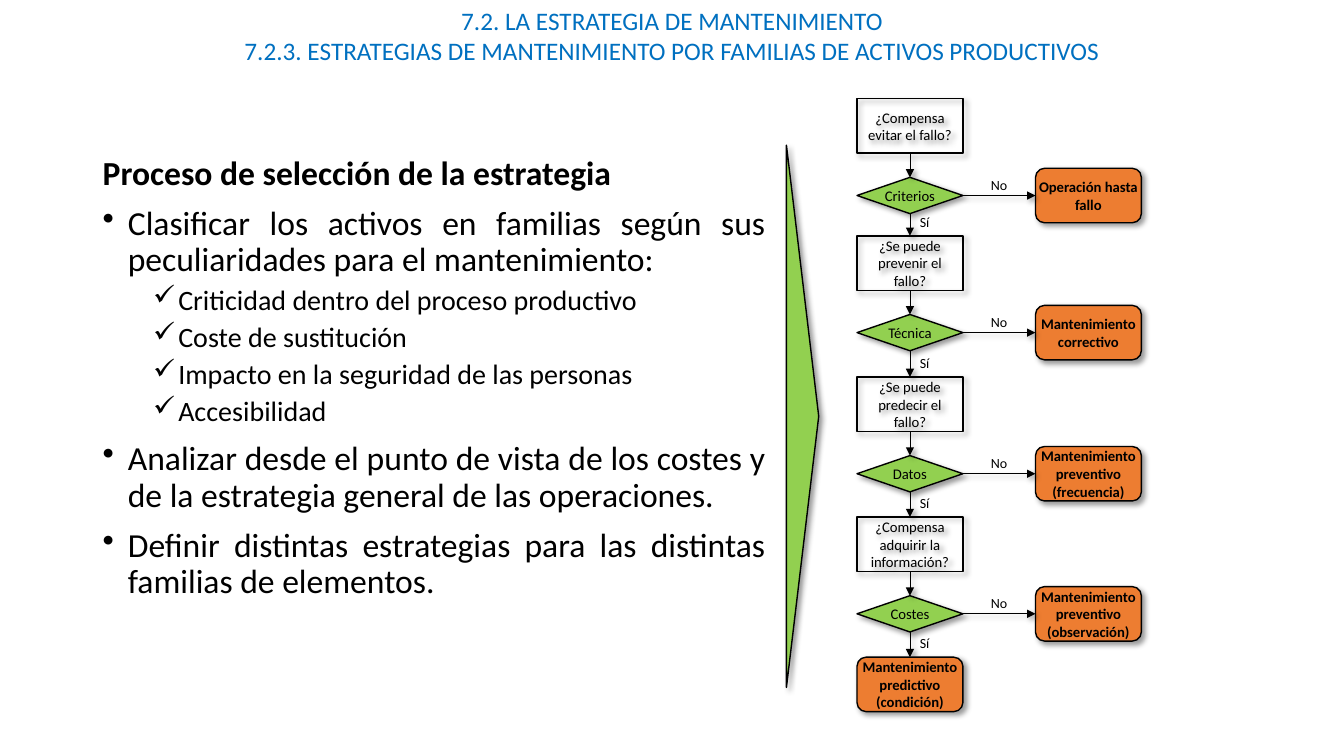
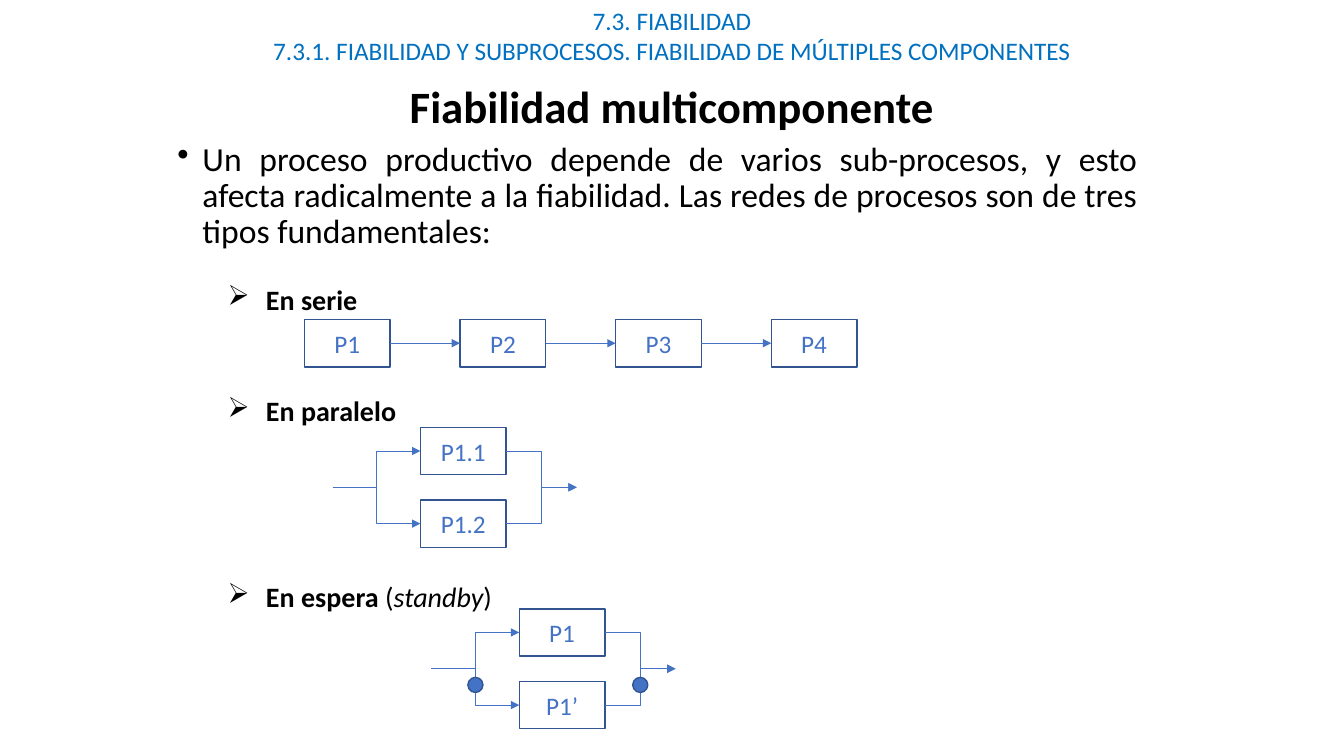
"""Build two slides on maintenance strategy and multi-component reliability."""
from collections import namedtuple

from lxml.etree import SubElement
from pptx import Presentation
from pptx.dml.color import RGBColor
from pptx.enum.shapes import MSO_CONNECTOR as LINK, MSO_SHAPE as SHAPE
from pptx.enum.text import MSO_ANCHOR as ANCHOR, MSO_AUTO_SIZE as FIT, PP_ALIGN as ALIGN
from pptx.oxml.ns import qn
from pptx.util import Inches, Pt

BLACK = RGBColor(0x00, 0x00, 0x00)
TITLE_BLUE = RGBColor(0x00, 0x70, 0xC0)
GREEN = RGBColor(0x92, 0xD0, 0x50)
ORANGE = RGBColor(0xED, 0x7D, 0x31)
BLUE = RGBColor(0x44, 0x72, 0xC4)
EDGE_BLUE = RGBColor(0x32, 0x54, 0x91)
FONT = "Calibri"
WIDTH, HEIGHT = 13.33, 7.5

Style = namedtuple("Style", "size bullet margin hang before align level", defaults=(0,))
LEAD = Style(24, None, 0, 0, 10, ALIGN.JUSTIFY)
POINT = Style(24, "•", 0.25, 0.25, 10, ALIGN.JUSTIFY)
CHECK = Style(20, "✓", 0.75, 0.25, 5, ALIGN.JUSTIFY, 1)
KIND = Style(20, "➢", 0.88, 0.38, 25, ALIGN.LEFT, 1)
HEADING = Style(32, None, 0, 0, 0, ALIGN.CENTER)

STRATEGY_TITLE = (
    "7.2. LA ESTRATEGIA DE MANTENIMIENTO",
    "7.2.3. ESTRATEGIAS DE MANTENIMIENTO POR FAMILIAS DE ACTIVOS PRODUCTIVOS",
)
STRATEGY_TEXT = [
    (LEAD, [("Proceso de selección de la estrategia", "b")]),
    (POINT, [("Clasificar los activos en familias según sus peculiaridades para el mantenimiento:", "")]),
    (CHECK, [("Criticidad dentro del proceso productivo", "")]),
    (CHECK, [("Coste de sustitución", "")]),
    (CHECK, [("Impacto en la seguridad de las personas", "")]),
    (CHECK, [("Accesibilidad", "")]),
    (POINT, [("Analizar desde el punto de vista de los costes y de la estrategia general de las operaciones.", "")]),
    (POINT, [("Definir distintas estrategias para las distintas familias de elementos.", "")]),
]
DECISIONS = [
    ("¿Compensa evitar el fallo?", "Criterios", "Operación hasta fallo"),
    ("¿Se puede prevenir el fallo?", "Técnica", "Mantenimiento correctivo"),
    ("¿Se puede predecir el fallo?", "Datos", "Mantenimiento preventivo (frecuencia)"),
    ("¿Compensa adquirir la información?", "Costes", "Mantenimiento preventivo (observación)"),
]
FINAL_OUTCOME = "Mantenimiento predictivo (condición)"
ROW_TOPS = [0.98, 2.34, 3.74, 5.13, 6.52]
FLOW_LEFT, OUTCOME_LEFT = 8.5, 10.27
STEP_WIDTH, STEP_HEIGHT, DIAMOND_HEIGHT, DIAMOND_DROP = 1.05, 0.54, 0.36, 0.78

RELIABILITY_TITLE = (
    "7.3. FIABILIDAD",
    "7.3.1. FIABILIDAD Y SUBPROCESOS. FIABILIDAD DE MÚLTIPLES COMPONENTES",
)
RELIABILITY_HEADING = [(HEADING, [("Fiabilidad multicomponente", "b")])]
RELIABILITY_TEXT = [
    (POINT, [("Un proceso productivo depende de varios sub-procesos, y esto afecta radicalmente "
              "a la fiabilidad. Las redes de procesos son de tres tipos fundamentales:", "")]),
    (KIND, [("En serie", "b")]),
    (KIND._replace(before=58), [("En paralelo", "b")]),
    (KIND._replace(before=111), [("En espera", "b"), (" (", ""), ("standby", "i"), (")", "")]),
]
SERIES = ["P1", "P2", "P3", "P4"]
SERIES_LEFT, SERIES_TOP, SERIES_PITCH = 3.02, 3.17, 1.543
PARALLEL = (4.17, 4.24, ("P1.1", "P1.2"))
STANDBY = (5.15, 6.04, ("P1", "P1’"))
PROCESS_WIDTH, PROCESS_HEIGHT, BRANCH_PITCH = 0.85, 0.47, 0.72
ENTRY, EXIT, DOT = 0.87, 0.7, 0.15


def inches(*values):
    return [Inches(value) for value in values]


def set_font(font, size, color, bold=None):
    font.name, font.size, font.bold = FONT, Pt(size), bold
    font.color.rgb = color


def add_outline(item, color, width, shadowed):
    item.line.color.rgb = color
    item.line.width = Pt(width)
    effects = SubElement(item._element.spPr, qn("a:effectLst"))
    if shadowed:
        shadow = SubElement(effects, qn("a:outerShdw"), blurRad="50800", dist="38100",
                            dir="2700000", algn="tl", rotWithShape="0")
        black = SubElement(shadow, qn("a:prstClr"), val="black")
        SubElement(black, qn("a:alpha"), val="40000")


def add_box(page, kind, place, fill, edge, shadowed=False):
    box = page.shapes.add_shape(kind, *inches(*place))
    if fill is None:
        box.fill.background()
    else:
        box.fill.solid()
        box.fill.fore_color.rgb = fill
    add_outline(box, edge, 1, shadowed)
    return box


def write_label(box, text, size, color, bold=None):
    frame = box.text_frame
    frame.word_wrap, frame.vertical_anchor = True, ANCHOR.MIDDLE
    para = frame.paragraphs[0]
    para.text, para.alignment = text, ALIGN.CENTER
    set_font(para.font, size, color, bold)


def add_arrow(page, start, end, color, kind=LINK.STRAIGHT, shadowed=False):
    arrow = page.shapes.add_connector(kind, *inches(*start, *end))
    add_outline(arrow, color, 0.5, shadowed)
    SubElement(arrow.line._get_or_add_ln(), qn("a:tailEnd"), type="triangle")


def add_title(page, lines):
    frame = page.shapes.add_textbox(*inches(0, 0, WIDTH, 0.7)).text_frame
    frame.word_wrap = True
    frame.text = "\n".join(lines)
    for para in frame.paragraphs:
        para.alignment = ALIGN.CENTER
        set_font(para.font, 18, TITLE_BLUE)


def add_body(page, place, paragraphs, anchor=ANCHOR.TOP):
    frame = page.shapes.add_textbox(*inches(*place)).text_frame
    frame.word_wrap, frame.vertical_anchor = True, anchor
    for index, (style, spans) in enumerate(paragraphs):
        para = frame.add_paragraph() if index else frame.paragraphs[0]
        para.alignment, para.level = style.align, style.level
        para.line_spacing, para.space_before = 0.9, Pt(style.before)
        if style.bullet:
            props = para._p.get_or_add_pPr()
            props.set("marL", str(Inches(style.margin)))
            props.set("indent", str(-Inches(style.hang)))
            SubElement(props, qn("a:buChar"), char=style.bullet)
        set_font(para.font, style.size, BLACK)
        for text, emphasis in spans:
            span = para.add_run()
            span.text = text
            span.font.bold, span.font.italic = emphasis == "b", emphasis == "i"


def add_step(page, kind, left, top, text, fill=None):
    height = DIAMOND_HEIGHT if kind == SHAPE.DIAMOND else STEP_HEIGHT
    box = add_box(page, kind, (left, top, STEP_WIDTH, height), fill, BLACK, True)
    if fill is not None:
        box.text_frame.margin_left = box.text_frame.margin_right = 0
    write_label(box, text, 10.5, BLACK, fill == ORANGE)


def add_answer(page, left, top, width, text):
    frame = page.shapes.add_textbox(*inches(left, top, width, 0.27)).text_frame
    frame.word_wrap, frame.auto_size = False, FIT.SHAPE_TO_FIT_TEXT
    frame.text = text
    set_font(frame.paragraphs[0].font, 10, BLACK)


def add_decision(page, top, next_top, texts):
    question, test, outcome = texts
    center, right = FLOW_LEFT + STEP_WIDTH / 2, FLOW_LEFT + STEP_WIDTH
    diamond_top = top + DIAMOND_DROP
    middle = diamond_top + DIAMOND_HEIGHT / 2
    add_step(page, SHAPE.RECTANGLE, FLOW_LEFT, top, question)
    add_step(page, SHAPE.DIAMOND, FLOW_LEFT, diamond_top, test, GREEN)
    add_step(page, SHAPE.ROUNDED_RECTANGLE, OUTCOME_LEFT, middle - STEP_HEIGHT / 2, outcome, ORANGE)
    for start, end in [
        ((center, top + STEP_HEIGHT), (center, diamond_top)),
        ((center, diamond_top + DIAMOND_HEIGHT), (center, next_top)),
        ((right, middle), (OUTCOME_LEFT, middle)),
    ]:
        add_arrow(page, start, end, BLACK, shadowed=True)
    add_answer(page, center, next_top - 0.27, 0.3, "Sí")
    add_answer(page, 9.73, middle - 0.24, 0.37, "No")


def add_process(page, left, top, text):
    place = (left, top, PROCESS_WIDTH, PROCESS_HEIGHT)
    write_label(add_box(page, SHAPE.RECTANGLE, place, None, EDGE_BLUE), text, 18, BLUE)


def add_branches(page, left, top, labels):
    right = left + PROCESS_WIDTH
    middle = top + (BRANCH_PITCH + PROCESS_HEIGHT) / 2
    for index, label in enumerate(labels):
        branch_top = top + index * BRANCH_PITCH
        center = branch_top + PROCESS_HEIGHT / 2
        add_process(page, left, branch_top, label)
        add_arrow(page, (left - ENTRY, middle), (left, center), BLUE, LINK.ELBOW)
        add_arrow(page, (right, center), (right + EXIT, middle), BLUE, LINK.ELBOW)


def build_strategy(page):
    add_title(page, STRATEGY_TITLE)
    add_body(page, (0.92, 1.5, 6.77, 5.26), STRATEGY_TEXT)
    for top, next_top, texts in zip(ROW_TOPS, ROW_TOPS[1:], DECISIONS):
        add_decision(page, top, next_top, texts)
    add_step(page, SHAPE.ROUNDED_RECTANGLE, FLOW_LEFT, ROW_TOPS[-1], FINAL_OUTCOME, ORANGE)
    pointer = add_box(page, SHAPE.ISOSCELES_TRIANGLE, (5.27, 3.97, 5.38, 0.32), GREEN, BLACK, True)
    pointer.rotation = 90


def build_reliability(page):
    add_body(page, (1.66, 1.36, 9.72, 5.26), RELIABILITY_TEXT)
    add_title(page, RELIABILITY_TITLE)
    add_body(page, (0, 0.6, WIDTH, 0.97), RELIABILITY_HEADING, ANCHOR.MIDDLE)
    center = SERIES_TOP + PROCESS_HEIGHT / 2
    for index, label in enumerate(SERIES):
        left = SERIES_LEFT + index * SERIES_PITCH
        add_process(page, left, SERIES_TOP, label)
        if index:
            previous_right = left - SERIES_PITCH + PROCESS_WIDTH
            add_arrow(page, (previous_right, center), (left, center), BLUE)
    for network in (PARALLEL, STANDBY):
        add_branches(page, *network)
    left, top, _ = STANDBY
    for offset in (-ENTRY / 2, PROCESS_WIDTH + EXIT / 2):
        place = (left + offset - DOT / 2, top + 0.68, DOT, DOT)
        add_box(page, SHAPE.OVAL, place, BLUE, EDGE_BLUE)


def main():
    deck = Presentation()
    deck.slide_width, deck.slide_height = inches(WIDTH, HEIGHT)
    for build in (build_strategy, build_reliability):
        build(deck.slides.add_slide(deck.slide_layouts[6]))
    deck.save("out.pptx")


if __name__ == "__main__":
    main()
